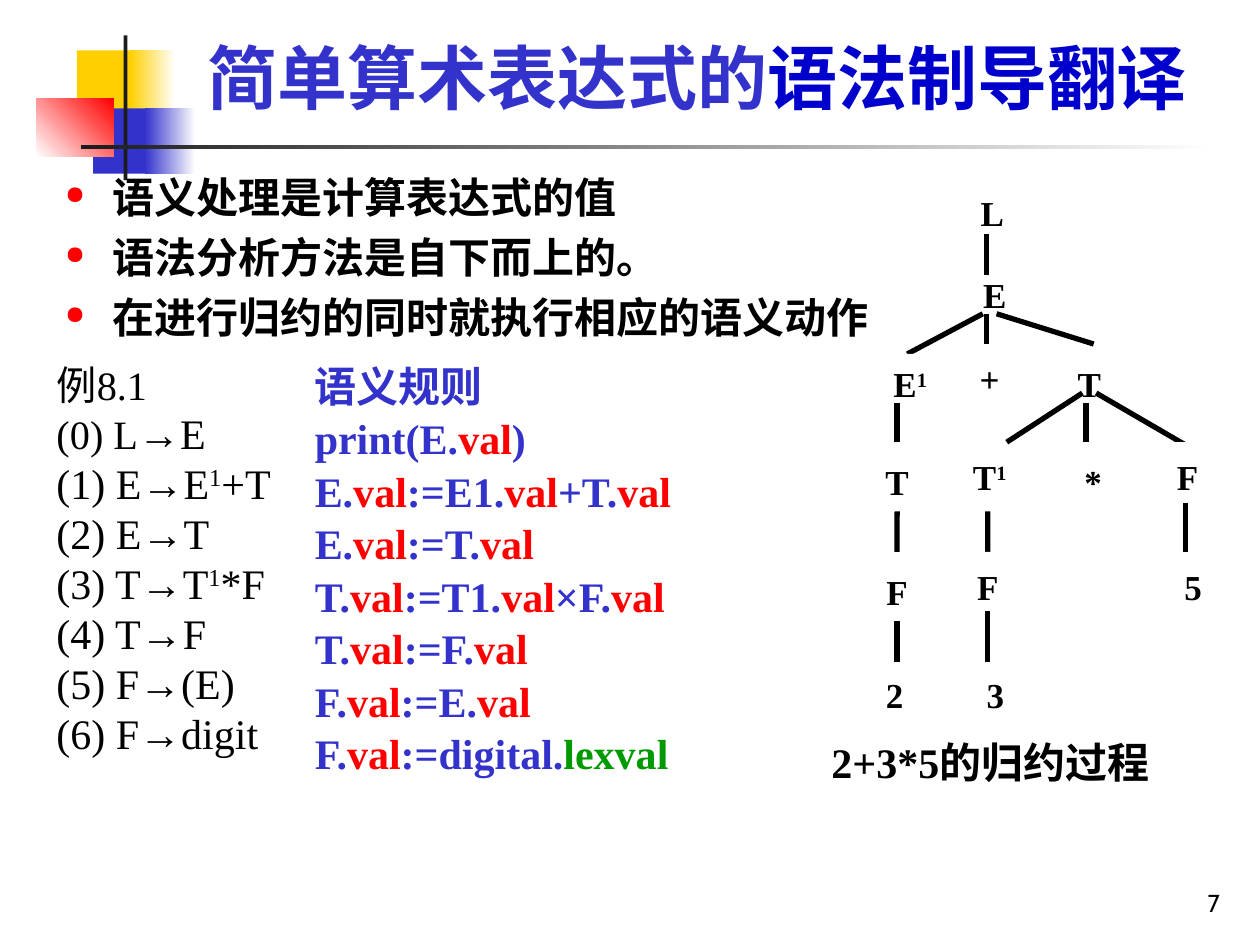
from dataclasses import dataclass
from typing import Any, Optional

import lxml.etree
import pptx
import pptx.dml.color
import pptx.enum.shapes
import pptx.enum.text
import pptx.oxml.ns
import pptx.util

Pt = pptx.util.Pt
Align = pptx.enum.text.PP_ALIGN
Anchor = pptx.enum.text.MSO_ANCHOR
qualify = pptx.oxml.ns.qn

BLACK, BLUE, RED, WHITE = "000000", "3333CC", "FF0000", "FFFFFF"
SUPERSCRIPT = {"1": {"baseline": "30000"}}
BOTTOM, TOP = 2, 0


@dataclass
class Block:
    left: float
    top: float
    width: float
    height: float
    colours: tuple[str, ...]
    angle: float = 0


@dataclass
class Node:
    name: str
    text: str
    left: float
    top: float
    width: float
    height: float
    filled: bool = True


@dataclass
class Edge:
    start: tuple[float, float]
    end: tuple[float, float]
    start_node: Optional[str] = None
    end_node: Optional[str] = None


@dataclass
class Level:
    nodes: list[Node]
    edges: list[Edge]


BLOCKS = [
    Block(43.9, 28.8, 34.6, 37.4, ("FFCF01",)),
    Block(74.2, 28.8, 25.9, 37.4, ("FFCF01", WHITE)),
    Block(53.3, 61.9, 33.1, 37.4, (BLUE,)),
    Block(82.8, 61.9, 28.8, 37.4, (BLUE, WHITE)),
    Block(20.9, 56.2, 43.9, 33.1, (WHITE, RED), 45),
    Block(70.6, 20.2, 2.2, 82.8, ("1C1C1C",)),
    Block(46.1, 82.8, 648, 2.2, ("1C1C1C", WHITE)),
]

TREE = [
    Level([Node("list", "L", 553, 105.8, 28, 31.7, False)],
          [Edge((563.8, 133.9), (563.8, 157))]),
    Level([Node("sum", "E", 553, 151.2, 31, 33.8, False)],
          [Edge((561.6, 179.3), (518.4, 202.3)),
           Edge((563.8, 179.3), (563.8, 201.6)),
           Edge((569.5, 179.3), (625, 196.6))]),
    Level([Node("left sum", "E|1", 501.8, 202.3, 36.7, 33.8),
           Node("plus", "+", 547.2, 196.6, 36.7, 39.6),
           Node("product", "T", 604.1, 202.3, 36.7, 33.8)],
          [Edge((512.6, 230.4), (512.6, 252.7)),
           Edge((618.5, 224.6), (575.3, 252.7)),
           Edge((620.6, 230.4), (620.6, 252.7)),
           Edge((626.4, 224.6), (684.7, 258.5))]),
    Level([Node("left term", "T", 494.3, 258.5, 36.7, 33.8),
           Node("middle term", "T|1", 547.2, 258.5, 36.7, 28.1),
           Node("times", "*", 609.1, 264.2, 31, 22.3),
           Node("right factor", "F", 660.2, 252.7, 36.7, 39.6)],
          [Edge((512.6, 292.3), (512.6, 315.4), start_node="left term"),
           Edge((564.5, 292.3), (564.5, 315.4), end_node="middle factor"),
           Edge((677.5, 287.3), (677.5, 315.4))]),
    Level([Node("left factor", "F", 488.1, 321.1, 49, 33.8),
           Node("middle factor", "F", 546.1, 315.4, 36.7, 39.6),
           Node("five", "5", 660.2, 321.1, 43.2, 28.1)],
          [Edge((512.6, 354.9), (512.6, 378), start_node="left factor"),
           Edge((564.5, 349.2), (564.5, 378))]),
    Level([Node("two", "2", 496.1, 383, 30.2, 28.1),
           Node("three", "3", 547.2, 383, 43.2, 28.1)], []),
]


def colour(value: str) -> pptx.dml.color.RGBColor:
    return pptx.dml.color.RGBColor.from_string(value)


def add_block(slide: Any, block: Block) -> Any:
    shape = slide.shapes.add_shape(
        pptx.enum.shapes.MSO_SHAPE.RECTANGLE,
        Pt(block.left), Pt(block.top), Pt(block.width), Pt(block.height))
    shape.shadow.inherit = False
    shape.line.fill.background()
    if len(block.colours) == 1:
        shape.fill.solid()
        shape.fill.fore_color.rgb = colour(block.colours[0])
    else:
        shape.fill.gradient()
        shape.fill.gradient_angle = block.angle
        for position, (stop, value) in enumerate(zip(shape.fill.gradient_stops, block.colours)):
            stop.position = position
            stop.color.rgb = colour(value)
    return shape


def add_bullet(paragraph: Any) -> None:
    properties = paragraph._p.get_or_add_pPr()
    bullet_colour = lxml.etree.SubElement(properties, qualify("a:buClr"))
    lxml.etree.SubElement(bullet_colour, qualify("a:srgbClr"), val=RED)
    lxml.etree.SubElement(properties, qualify("a:buSzPct"), val="60000")
    lxml.etree.SubElement(properties, qualify("a:buChar"), char="●")


def write_text(shape: Any, text: str, *, size: float = 24, color: str = BLACK,
               bold: bool = True, font: str = "Times New Roman",
               align: Any = Align.LEFT, anchor: Any = Anchor.TOP, wrap: bool = True,
               space: float = 0, line_spacing: Optional[float] = None,
               hanging: float = 0, bullet: bool = False,
               accents: Optional[dict[str, dict[str, Any]]] = None) -> None:
    frame = shape.text_frame
    frame.word_wrap = wrap
    frame.vertical_anchor = anchor
    for index, line in enumerate(text.split("\n")):
        paragraph = frame.add_paragraph() if index else frame.paragraphs[0]
        if bullet:
            add_bullet(paragraph)
        paragraph.alignment = align
        paragraph.space_before = Pt(space if index else 0)
        if line_spacing:
            paragraph.line_spacing = line_spacing
        if hanging:
            properties = paragraph._p.get_or_add_pPr()
            properties.set("marL", str(Pt(hanging)))
            properties.set("indent", str(-Pt(hanging)))
        for part, piece in enumerate(line.split("|")):
            if not piece:
                continue
            accent = (accents or {}).get(piece, {}) if part % 2 else {}
            run = paragraph.add_run()
            run.text = piece
            run.font.name = font
            run.font.size = Pt(accent.get("size", size))
            run.font.bold = bold
            run.font.color.rgb = colour(accent.get("color", color))
            if "baseline" in accent:
                run.font._element.set("baseline", accent["baseline"])


def add_text(slide: Any, left: float, top: float, width: float, height: float,
             text: str, **text_format: Any) -> Any:
    shape = slide.shapes.add_textbox(Pt(left), Pt(top), Pt(width), Pt(height))
    write_text(shape, text, **text_format)
    return shape


def add_node(slide: Any, node: Node) -> Any:
    box = (node.left, node.top, node.width, node.height)
    if node.filled:
        shape = add_block(slide, Block(*box, (WHITE,)))
    else:
        shape = slide.shapes.add_textbox(*map(Pt, box))
    write_text(shape, node.text, size=20, align=Align.CENTER, anchor=Anchor.MIDDLE,
               wrap=False, accents=SUPERSCRIPT)
    return shape


def add_edge(slide: Any, edge: Edge) -> Any:
    connector = slide.shapes.add_connector(
        pptx.enum.shapes.MSO_CONNECTOR.STRAIGHT, *map(Pt, edge.start + edge.end))
    connector.line.color.rgb = colour(BLACK)
    connector.line.width = Pt(3)
    lxml.etree.SubElement(connector._element.spPr, qualify("a:effectLst"))
    return connector


def draw_tree(slide: Any, levels: list[Level]) -> None:
    shapes, connectors = {}, []
    for level in levels:
        for node in level.nodes:
            shapes[node.name] = add_node(slide, node)
        for edge in level.edges:
            connectors.append((edge, add_edge(slide, edge)))
    for edge, connector in connectors:
        if edge.start_node:
            connector.begin_connect(shapes[edge.start_node], BOTTOM)
        if edge.end_node:
            connector.end_connect(shapes[edge.end_node], TOP)


def main() -> None:
    presentation = pptx.Presentation()
    presentation.slide_width, presentation.slide_height = Pt(720), Pt(540)
    slide = presentation.slides.add_slide(presentation.slide_layouts[6])
    for block in BLOCKS:
        add_block(slide, block)
    add_text(slide, 554.4, 491.8, 149.8, 36, "7", size=14, bold=False, font="Cabin",
             align=Align.RIGHT, anchor=Anchor.BOTTOM)
    add_text(slide, 30.2, 94.3, 678.2, 421.9,
             "语义处理是计算表达式的值\n语法分析方法是自下而上的。\n在进行归约的同时就执行相应的语义动作",
             align=Align.JUSTIFY, space=5.5, hanging=27, bullet=True)
    add_text(slide, 90.7, 16.6, 615.6, 54.7, "简单算术表达式的|语法制导翻译", size=40, color=BLUE,
             align=Align.CENTER, anchor=Anchor.BOTTOM, accents={"语法制导翻译": {"color": "0000CC"}})
    add_text(slide, 25.2, 207.4, 165.6, 246.2,
             "|例8.1\n|(0) L|→E\n(1) E→E|1|+T\n(2) E→T\n(3) T→T|1|*F\n(4) T→F\n(5) F→(E)\n(6) F→digit",
             bold=False, align=Align.JUSTIFY, space=5.5, line_spacing=0.8, hanging=27,
             accents=SUPERSCRIPT | {"例8.1": {"size": 23}, "(0) L": {"size": 23}})
    add_text(slide, 172.8, 202.3, 228.2, 261.4,
             "语义规则\nprint(E.|val|)\nE.|val|:=E1.|val|+T.|val\nE.|val|:=T.|val\n"
             "T.|val|:=T1.|val|×F.|val\nT.|val|:=F.|val\nF.|val|:=E.|val\nF.|val|:=digital.|lexval",
             color=BLUE, wrap=False, space=1.2,
             accents={"val": {"color": RED}, "lexval": {"color": "009900"}})
    draw_tree(slide, TREE)
    add_text(slide, 468, 417.6, 223.9, 36, "2+3*5的归约过程")
    presentation.save("out.pptx")


if __name__ == "__main__":
    main()
